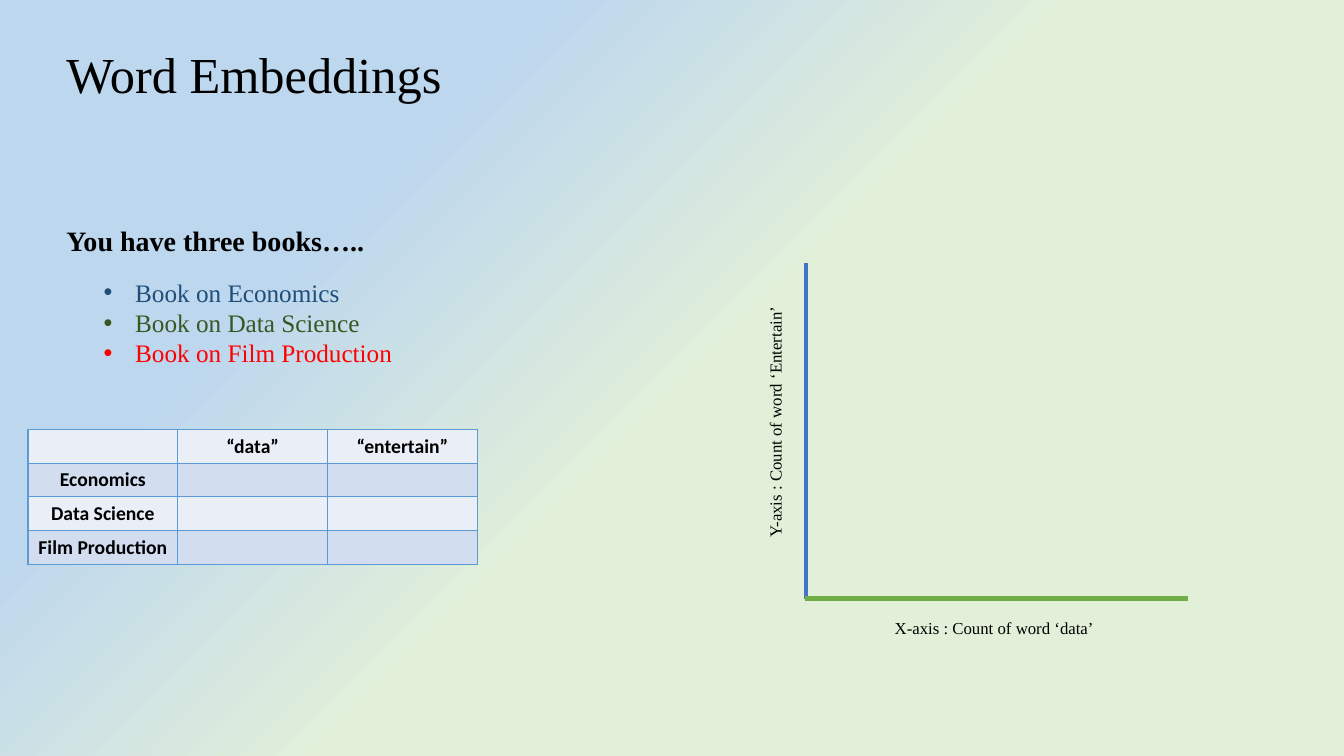
from lxml.etree import SubElement
from pptx import Presentation
from pptx.dml.color import RGBColor
from pptx.enum.shapes import MSO_CONNECTOR
from pptx.enum.text import MSO_ANCHOR, PP_ALIGN
from pptx.oxml.ns import qn
from pptx.util import Pt

SERIF = "Times New Roman"
BLACK = "000000"
TABLE_ROWS = [
    ["", "“data”", "“entertain”"],
    ["Economics", "", ""],
    ["Data Science", "", ""],
    ["Film Production", "", ""],
]
BOOKS = [
    ("Book on Economics", "1F4E79"),
    ("Book on Data Science", "385723"),
    ("Book on Film Production", "FF0000"),
]


def color(value):
    return RGBColor.from_string(value)


def style(para, size, value=BLACK, name=SERIF, bold=False):
    for span in para.runs:
        span.font.size = Pt(size)
        span.font.name = name
        span.font.bold = bold
        span.font.color.rgb = color(value)


def paint_background(page):
    fill = page.background.fill
    fill.gradient()
    fill.gradient_angle = 315
    stops = [(0.26, "BDD7EE"), (0.52, "E2F0D9")]
    for stop, (position, value) in zip(fill.gradient_stops, stops):
        stop.position = position
        stop.color.rgb = color(value)


def add_text(page, text, left, top, width, height, size, bold=False, wrap=False):
    box = page.shapes.add_textbox(Pt(left), Pt(top), Pt(width), Pt(height))
    box.text_frame.word_wrap = wrap
    box.text_frame.text = text
    for para in box.text_frame.paragraphs:
        style(para, size, bold=bold)
    return box


def add_bullet(para, indent):
    properties = para._p.get_or_add_pPr()
    properties.set("marL", str(Pt(indent)))
    properties.set("indent", str(-Pt(indent)))
    SubElement(properties, qn("a:buFont")).set("typeface", "Arial")
    SubElement(properties, qn("a:buChar")).set("char", "•")


def add_book_list(page):
    text = "\n".join(title for title, value in BOOKS)
    box = add_text(page, text, 67, 194.4, 227, 72.7, 18)
    for para, (title, value) in zip(box.text_frame.paragraphs, BOOKS):
        add_bullet(para, 22.5)
        style(para, 18, value)


def add_axis(page, start, end, value):
    points = [Pt(length) for length in (*start, *end)]
    axis = page.shapes.add_connector(MSO_CONNECTOR.STRAIGHT, *points)
    axis.line.width = Pt(3.25)
    axis.line.color.rgb = color(value)
    SubElement(axis._element.spPr, qn("a:effectLst"))


def add_borders(cell, value):
    properties = cell._tc.get_or_add_tcPr()
    for index, side in enumerate(("a:lnL", "a:lnR", "a:lnT", "a:lnB")):
        line = properties.makeelement(qn(side), {"w": str(Pt(1))})
        fill = SubElement(line, qn("a:solidFill"))
        SubElement(fill, qn("a:srgbClr")).set("val", value)
        properties.insert(index, line)


def add_count_table(page):
    row_height, column_width = 24.1, 107
    frame = page.shapes.add_table(
        len(TABLE_ROWS), len(TABLE_ROWS[0]), Pt(20), Pt(306.7),
        Pt(column_width * len(TABLE_ROWS[0])), Pt(row_height * len(TABLE_ROWS)))
    for row_index, texts in enumerate(TABLE_ROWS):
        for column_index, text in enumerate(texts):
            cell = frame.table.cell(row_index, column_index)
            cell.fill.solid()
            cell.fill.fore_color.rgb = color(("EAEFF7", "D2DEEF")[row_index % 2])
            cell.margin_top = cell.margin_bottom = Pt(0)
            cell.vertical_anchor = MSO_ANCHOR.MIDDLE
            add_borders(cell, "5B9BD5")
            if text:
                cell.text_frame.text = text
                para = cell.text_frame.paragraphs[0]
                para.alignment = PP_ALIGN.CENTER
                style(para, 14, name="Calibri", bold=True)


def main():
    deck = Presentation()
    deck.slide_width, deck.slide_height = Pt(960), Pt(540)
    page = deck.slides.add_slide(deck.slide_layouts[6])
    paint_background(page)
    title = add_text(page, "Word Embeddings", 40.3, 2.9, 828, 104.4, 36, wrap=True)
    title.text_frame.vertical_anchor = MSO_ANCHOR.MIDDLE
    title.text_frame.paragraphs[0].line_spacing = 0.9
    add_axis(page, (575.7, 188), (575.7, 427.7), "4472C4")
    add_axis(page, (848.3, 427.7), (575.3, 427.7), "70AD47")
    add_text(page, "X-axis : Count of word ‘data’", 632, 438, 158.4, 21.8, 12)
    label = add_text(page, "Y-axis : Count of word ‘Entertain’", 463, 289.6, 181.4, 21.8, 12)
    label.rotation = 270
    add_text(page, "You have three books…..", 40.3, 156.2, 229, 31.5, 20, bold=True)
    add_book_list(page)
    add_count_table(page)
    deck.save("out.pptx")


if __name__ == "__main__":
    main()
